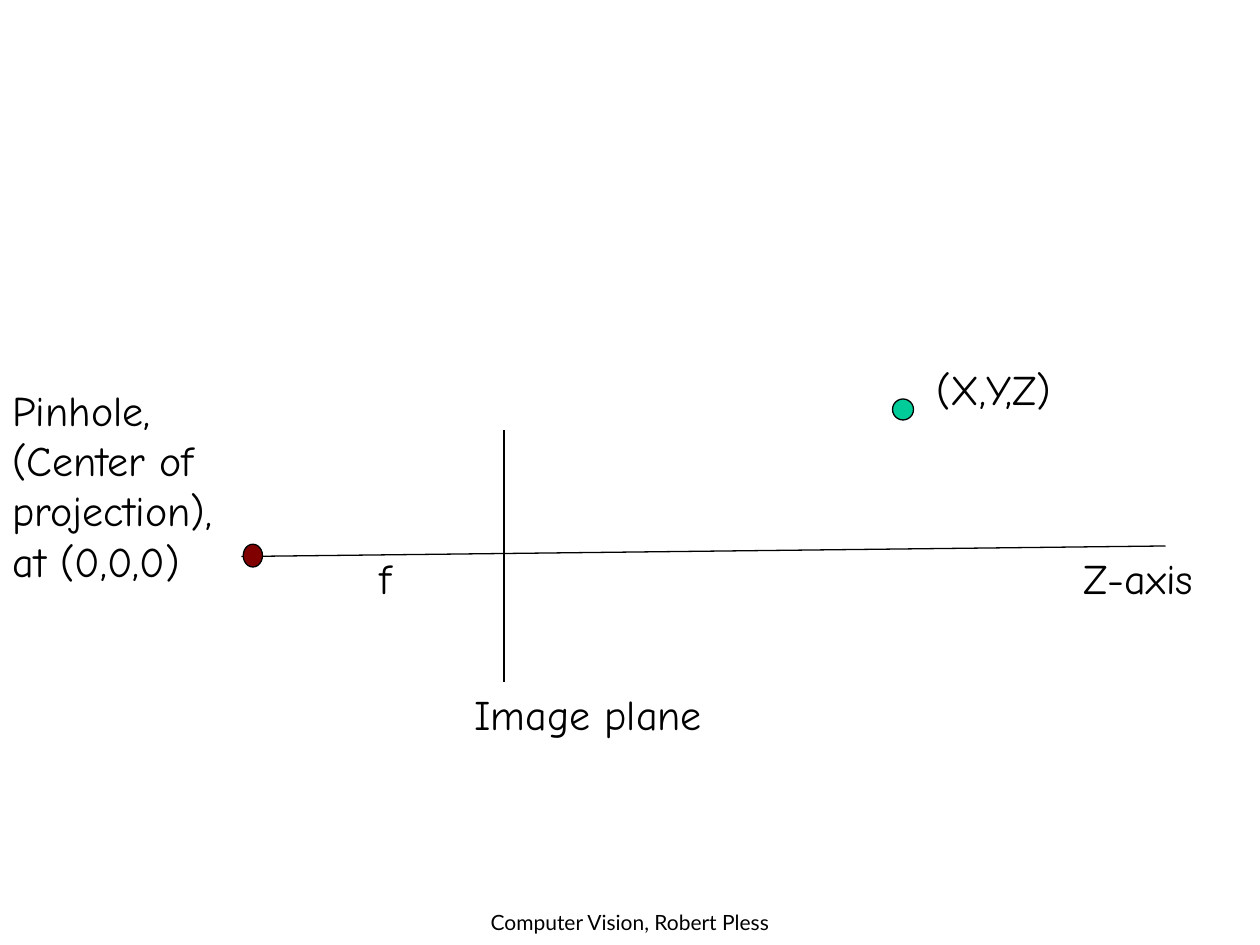
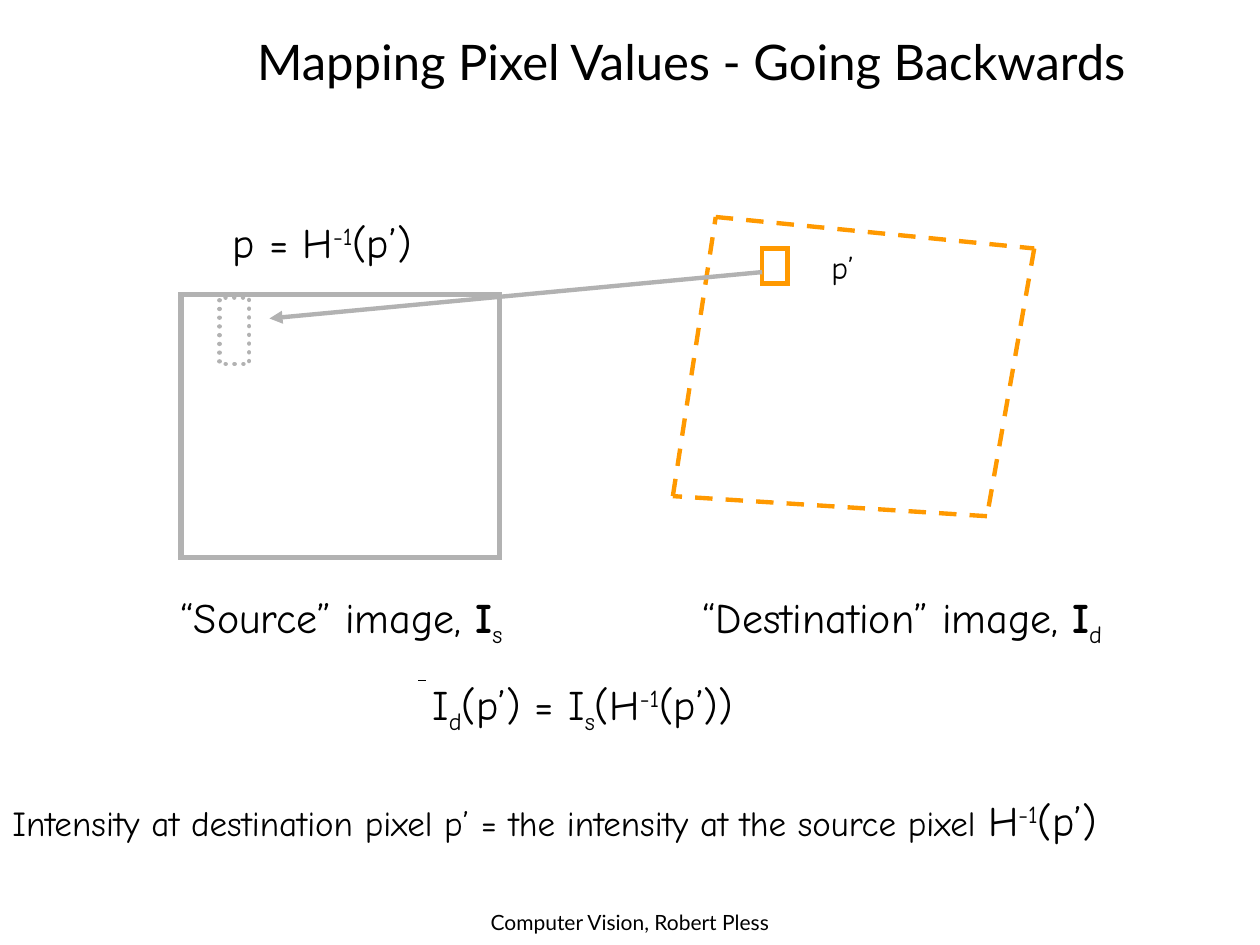
from itertools import pairwise
from pptx import Presentation
from pptx.dml.color import RGBColor
from pptx.enum.dml import MSO_LINE
from pptx.enum.shapes import MSO_CONNECTOR, MSO_SHAPE
from pptx.enum.text import MSO_ANCHOR, MSO_AUTO_SIZE, PP_ALIGN
from pptx.oxml.ns import qn
from pptx.util import Pt
from lxml.etree import SubElement

BLACK = RGBColor(0x00, 0x00, 0x00)
GREEN = RGBColor(0x00, 0xCC, 0x99)
MAROON = RGBColor(0x80, 0x00, 0x00)
GREY = RGBColor(0xB2, 0xB2, 0xB2)
ORANGE = RGBColor(0xFF, 0x99, 0x00)
HAND = "Comic Neue"
SANS = "Lato"
SUB, SUP = "-25000", "30000"
INVERSE = [("-1", SUP), "(p’)"]


class Deck:
    def __init__(self):
        self.prs = Presentation()
        self.prs.slide_width, self.prs.slide_height = Pt(720), Pt(540)
        self.slide = None

    def start(self, title=None):
        """Add a slide with its footer and, if given, its title."""
        layout = self.prs.slide_layouts[5 if title else 6]
        self.slide = self.prs.slides.add_slide(layout)
        self.text(0, 516, 720, 24, [["Computer Vision, Robert Pless"]],
                  size=12, font=SANS, align=PP_ALIGN.CENTER, grow=False)
        if title:
            self.title(title)

    def title(self, words):
        shape = self.slide.shapes.title
        shape.left, shape.top = Pt(70), Pt(4.5)
        shape.width, shape.height = Pt(650), Pt(61)
        frame = shape.text_frame
        frame.auto_size = MSO_AUTO_SIZE.NONE
        frame.vertical_anchor = MSO_ANCHOR.MIDDLE
        para = frame.paragraphs[0]
        para.alignment = PP_ALIGN.CENTER
        self.run(para, words, 28, SANS)

    def run(self, para, words, size, font, base=None, bold=False):
        run = para.add_run()
        run.text = words
        run.font.size, run.font.name = Pt(size), font
        run.font.color.rgb = BLACK
        if bold:
            run.font.bold = True
        if base:
            run._r.get_or_add_rPr().set("baseline", base)

    def text(self, x, y, w, h, paras, size=24, font=HAND, align=None,
             wrap=True, grow=True, space=None):
        """Each paragraph lists runs: a string, or (string, baseline or "bold" or size)."""
        box = self.slide.shapes.add_textbox(Pt(x), Pt(y), Pt(w), Pt(h))
        frame = box.text_frame
        frame.word_wrap = wrap
        if grow:
            frame.auto_size = MSO_AUTO_SIZE.SHAPE_TO_FIT_TEXT
        for i, runs in enumerate(paras):
            para = frame.add_paragraph() if i else frame.paragraphs[0]
            para.alignment, para.line_spacing = align, space
            for item in runs:
                words, mark = (item, None) if isinstance(item, str) else item
                self.run(para, words, mark if isinstance(mark, int) else size, font,
                         base=mark if mark in (SUB, SUP) else None,
                         bold=mark == "bold")

    def label(self, x, y, w, h, *runs, **style):
        """Write one line that does not wrap."""
        self.text(x, y, w, h, [runs], wrap=False, **style)

    def stroke(self, line, color, width, dash):
        """Draw with sharp corners, and with round dots where dotted."""
        line.color.rgb, line.width = color, Pt(width)
        if dash:
            line.dash_style = dash
        ln = line._get_or_add_ln()
        if dash == MSO_LINE.ROUND_DOT:
            ln.set("cap", "rnd")
        SubElement(ln, qn("a:miter"), lim="800000")

    def shape(self, kind, x, y, w, h, color=BLACK, width=0.75, fill=None, dash=None):
        shape = self.slide.shapes.add_shape(kind, Pt(x), Pt(y), Pt(w), Pt(h))
        shape.shadow.inherit = False
        if fill is None:
            shape.fill.background()
        else:
            shape.fill.solid()
            shape.fill.fore_color.rgb = fill
        self.stroke(shape.line, color, width, dash)

    def line(self, start, end, color=BLACK, width=0.75, dash=None, arrow=False):
        line = self.slide.shapes.add_connector(
            MSO_CONNECTOR.STRAIGHT, *map(Pt, start + end))
        self.stroke(line.line, color, width, dash)
        if arrow:
            SubElement(line.line._get_or_add_ln(), qn("a:tailEnd"), type="triangle")
        SubElement(line._element.spPr, qn("a:effectLst"))


def pinhole(deck):
    deck.start()
    deck.line((138, 318), (666, 312))
    deck.line((288, 246), (288, 390))
    deck.shape(MSO_SHAPE.OVAL, 510, 228, 12, 12, fill=GREEN)
    deck.shape(MSO_SHAPE.OVAL, 139, 311, 11, 13, fill=MAROON)
    deck.label(210, 312, 27, 36, "f")
    deck.label(528, 204, 96, 36, "(X,Y,Z)")
    deck.label(612, 312, 86, 36, "Z-axis")
    deck.label(264, 390, 150, 36, "Image plane")
    deck.text(0, 216, 148, 124,
              [["Pinhole,"], ["(Center of projection), at (0,0,0)"]])


def mapping(deck):
    deck.start("Mapping Pixel Values - Going Backwards")
    deck.shape(MSO_SHAPE.RECTANGLE, 103.5, 168.5, 182, 150, GREY, 3)
    deck.line((239, 389), (243.5, 389))
    for x, w, name, sub in ((86.5, 217.5, "Source", "s"),
                            (381.5, 268.5, "Destination", "d")):
        deck.label(x, 337.5, w, 30, f"“{name}” image, ", ("I", "bold"), (sub, SUB),
                   align=PP_ALIGN.CENTER, space=0.8)
    deck.text(0, 456, 708, 30,
              [[("Intensity at destination pixel p’ = the intensity "
                 "at the source pixel ", 20), "H", *INVERSE]], space=0.8)

    quad = [(384.5, 283.5), (409, 124), (591, 142), (564, 295)]
    for start, end in pairwise(quad + quad[:1]):
        deck.line(start, end, ORANGE, 2.5, MSO_LINE.DASH)
    deck.shape(MSO_SHAPE.RECTANGLE, 435.5, 142, 14.5, 20, ORANGE, 2.5)
    deck.shape(MSO_SHAPE.RECTANGLE, 125.5, 170, 17, 38, GREY, 2.5,
               dash=MSO_LINE.ROUND_DOT)
    deck.line((435.5, 155.5), (154, 182), GREY, 2.5, arrow=True)

    deck.text(240, 384, 342, 36,
              [["I", ("d", SUB), "(p’) = I", ("s", SUB), "(H", *INVERSE, ")"]])
    deck.label(126, 120, 121, 36, "p = H", *INVERSE)
    deck.label(468, 138, 32, 29, "p’", size=18)


def main():
    deck = Deck()
    pinhole(deck)
    mapping(deck)
    deck.prs.save("out.pptx")


if __name__ == "__main__":
    main()
